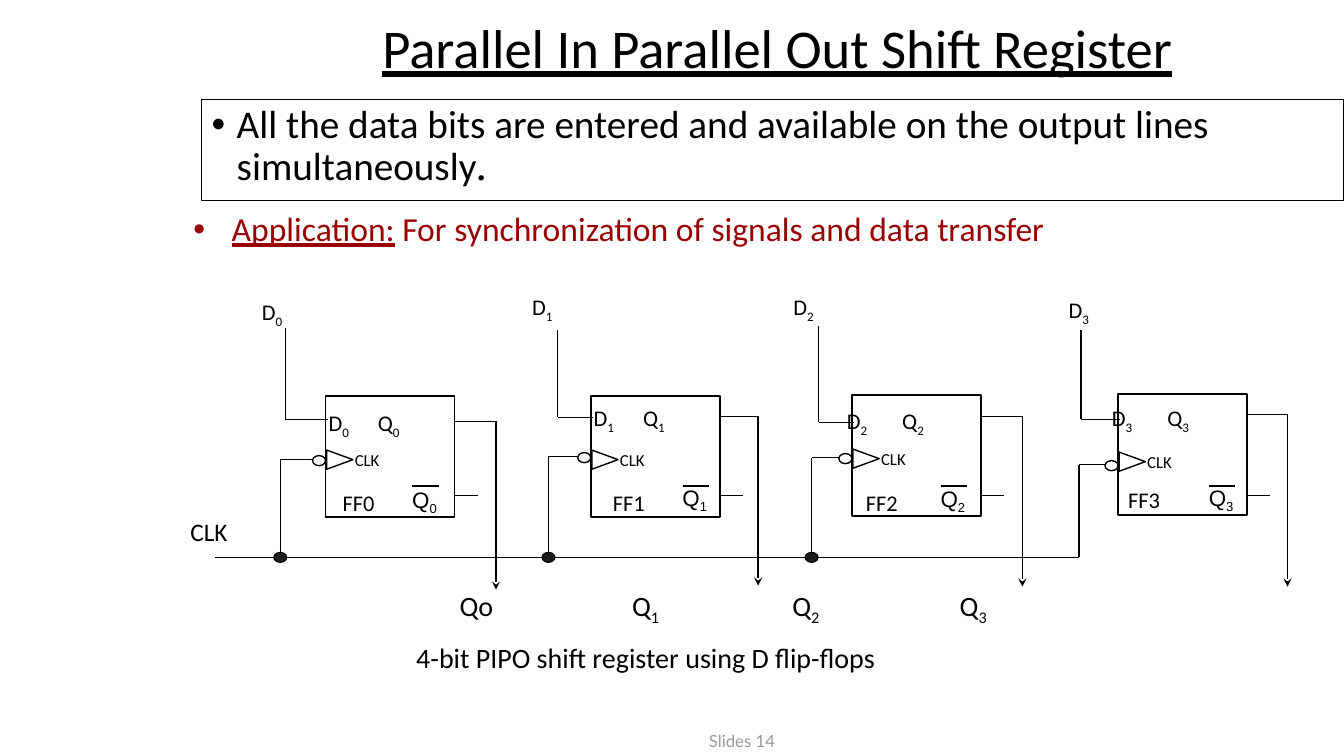
from collections import namedtuple

import pptx
import pptx.dml.color
import pptx.enum.shapes
import pptx.enum.text
import pptx.oxml.ns
import pptx.util
from lxml import etree

TITLE = "Parallel In Parallel Out Shift Register"
SUMMARY = "All the data bits are entered and available on the output lines simultaneously"
APPLICATION = ("Application:", " For synchronization of signals and data transfer")
CAPTION = "4-bit PIPO shift register using D flip-flops"
FOOTER = "Slides 14"

# Lengths are px, 100 to the inch. "at" fields are the corners of labels and boxes.
FlipFlop = namedtuple("FlipFlop", "box_at input_at data_x data_top data_y clk_x clk_y "
                      "clk_label_y pin_at pin_gap name_at inverse_at out_x out_y out_end")
FLIP_FLOPS = [
    FlipFlop((323, 393), (250, 291), 283, 325, 416, 278, 456, 441,
             (316, 401), 49, (330, 480), (399, 477), 492, 418, 585),
    FlipFlop((586, 393), (518, 286), 553, 327, 414, 544, 453, 441,
             (579, 396), 49, (598, 480), (667, 475), 752, 413, 581),
    FlipFlop((845, 392), (777, 286), 812, 323, 419, 805, 454, 440,
             (830, 399), 55, (849, 480), (923, 476), 1014, 413, 582),
    FlipFlop((1109, 391), (1050, 289), 1072, 327, 416, 1070, 461, 443,
             (1093, 396), 55, (1109, 477), (1189, 475), 1277, 411, 582),
]
OUTPUTS = [(446, "Qo", ""), (617, "Q", "1"), (776, "Q", "2"), (942, "Q", "3")]
OUTPUT_Y = 579
BUS_START, BUS_Y = 213, 553
BOX_W, BOX_H = 128, 120
DOT_W, DOT_H = 13, 10
CLOCK_W, CLOCK_H = 26, 19

THEME = {
    "font": "Calibri", "inverse_font": "Arial", "stop_font": "Vollkorn", "footer_font": "Lato",
    "ink": "000000", "paper": "FFFFFF", "accent": "990000", "muted": "9A9A9A", "dot": "1C1C1C",
    "title": 39, "summary": 28, "application": 24, "caption": 20, "clock": 18, "label": 16,
    "small": 12, "wire": 1, "thin": 0.75,
}
ALIGN = pptx.enum.text.PP_ALIGN
ANCHOR = pptx.enum.text.MSO_ANCHOR
SHAPE = pptx.enum.shapes.MSO_SHAPE

prs = pptx.Presentation()


def px(n):
    return pptx.util.Emu(round(n * 9144))


def rgb(name):
    return pptx.dml.color.RGBColor.from_string(THEME[name])


prs.slide_width, prs.slide_height = px(1333), px(750)
slide = prs.slides.add_slide(prs.slide_layouts[6])


def add_run(p, words, size, font="font", color="ink", underline=False, subscript=False):
    r = p.add_run()
    r.text = words
    r.font.size = pptx.util.Pt(THEME[size])
    r.font.name = THEME[font]
    r.font.color.rgb = rgb(color)
    r.font.underline = underline
    if subscript:
        r.font._element.set("baseline", "-25000")


def prepare(sp, anchor=ANCHOR.TOP, align=ALIGN.LEFT):
    """Set up wrapping and alignment; give back the first paragraph."""
    tf = sp.text_frame
    tf.word_wrap = True
    tf.vertical_anchor = anchor
    p = tf.paragraphs[0]
    p.alignment = align
    return p


def text_box(x, y, w, h, **layout):
    return prepare(slide.shapes.add_textbox(px(x), px(y), px(w), px(h)), **layout)


def label(at, words, index="", size="label", font="font", w=62, h=37):
    p = text_box(*at, w, h)
    add_run(p, words, size, font)
    if index:
        add_run(p, index, size, font, subscript=True)


def bullet(p, indent, before):
    p.line_spacing = 0.9
    p.space_before = pptx.util.Pt(before)
    pPr = p._p.get_or_add_pPr()
    pPr.set("marL", str(px(indent)))
    pPr.set("indent", str(-px(indent)))
    etree.SubElement(pPr, pptx.oxml.ns.qn("a:buFont"), typeface="Arial")
    etree.SubElement(pPr, pptx.oxml.ns.qn("a:buChar"), char="•")


def shape(kind, x, y, w, h, fill=None, line="wire"):
    sp = slide.shapes.add_shape(kind, px(x), px(y), px(w), px(h))
    sp.shadow.inherit = False
    if fill:
        sp.fill.solid()
        sp.fill.fore_color.rgb = rgb(fill)
    else:
        sp.fill.background()
    sp.line.color.rgb = rgb("ink")
    sp.line.width = pptx.util.Pt(THEME[line])
    return sp


def wire(*points, width="wire", arrow=False):
    """Join the points with straight lines; an arrow goes on the last one."""
    for start, end in zip(points, points[1:]):
        cn = slide.shapes.add_connector(pptx.enum.shapes.MSO_CONNECTOR.STRAIGHT,
                                        *map(px, start + end))
        cn.line.color.rgb = rgb("ink")
        cn.line.width = pptx.util.Pt(THEME[width])
        if arrow and end == points[-1]:
            etree.SubElement(cn.line._get_or_add_ln(), pptx.oxml.ns.qn("a:tailEnd"),
                             type="stealth")
        etree.SubElement(cn._element.spPr, pptx.oxml.ns.qn("a:effectLst"))


def draw_text():
    p = text_box(209, 0, 1124, 101, anchor=ANCHOR.MIDDLE, align=ALIGN.CENTER)
    p.line_spacing = 0.9
    add_run(p, TITLE, "title", underline=True)

    p = prepare(shape(SHAPE.RECTANGLE, 200, 99, 1133, 100, "paper", "thin"))
    bullet(p, 25, 10)
    add_run(p, SUMMARY, "summary")
    add_run(p, ".", "summary", "stop_font")

    p = text_box(182, 206, 1077, 85)
    bullet(p, 38, 5)
    for words, underline in zip(APPLICATION, (True, False)):
        add_run(p, words, "application", color="accent", underline=underline)

    label((403, 631), CAPTION, size="caption", w=491, h=44)
    p = text_box(678, 698, 116, 52, anchor=ANCHOR.BOTTOM, align=ALIGN.CENTER)
    add_run(p, FOOTER, "small", "footer_font", "muted")


def draw_flip_flop(n, ff):
    index = str(n)
    left, top = ff.box_at
    right = left + BOX_W
    shape(SHAPE.RECTANGLE, left, top, BOX_W, BOX_H)

    label(ff.input_at, "D", index)
    wire((ff.data_x, ff.data_top), (ff.data_x, ff.data_y), (left + 2, ff.data_y))
    pin_x, pin_y = ff.pin_at
    label(ff.pin_at, "D", index)
    label((pin_x + ff.pin_gap, pin_y), "Q", index)
    label(ff.name_at, f"FF{n}")

    wire((left - DOT_W, ff.clk_y), (ff.clk_x, ff.clk_y), (ff.clk_x, BUS_Y))
    shape(SHAPE.OVAL, left - DOT_W, ff.clk_y - 4, DOT_W, DOT_H, "paper")
    inset = (CLOCK_W - CLOCK_H) / 2
    clock = shape(SHAPE.ISOSCELES_TRIANGLE, left + 1 + inset, ff.clk_label_y + 2,
                  CLOCK_H, CLOCK_W)
    clock.rotation = 90
    label((left + 19, ff.clk_label_y), "CLK", size="small", w=55, h=30)

    wire((right, ff.out_y), (ff.out_x, ff.out_y), (ff.out_x, ff.out_end), arrow=True)
    label(ff.inverse_at, "Q", index, font="inverse_font")
    bar = ff.inverse_at[0] + 10
    wire((bar, 482), (bar + 26, 482))
    wire((right, 492), (right + 23, 492), width="thin")


def draw_register():
    label((179, 507), "CLK", size="clock", w=68, h=40)
    wire((BUS_START, BUS_Y), (FLIP_FLOPS[-1].clk_x, BUS_Y))
    for n, ff in enumerate(FLIP_FLOPS):
        draw_flip_flop(n, ff)
    for ff in FLIP_FLOPS[:-1]:
        shape(SHAPE.OVAL, ff.clk_x - DOT_W / 2, BUS_Y - DOT_H / 2, DOT_W, DOT_H, "dot", "thin")
    for x, words, index in OUTPUTS:
        label((x, OUTPUT_Y), words, index, size="caption", h=44)


if __name__ == "__main__":
    draw_text()
    draw_register()
    prs.save("out.pptx")
